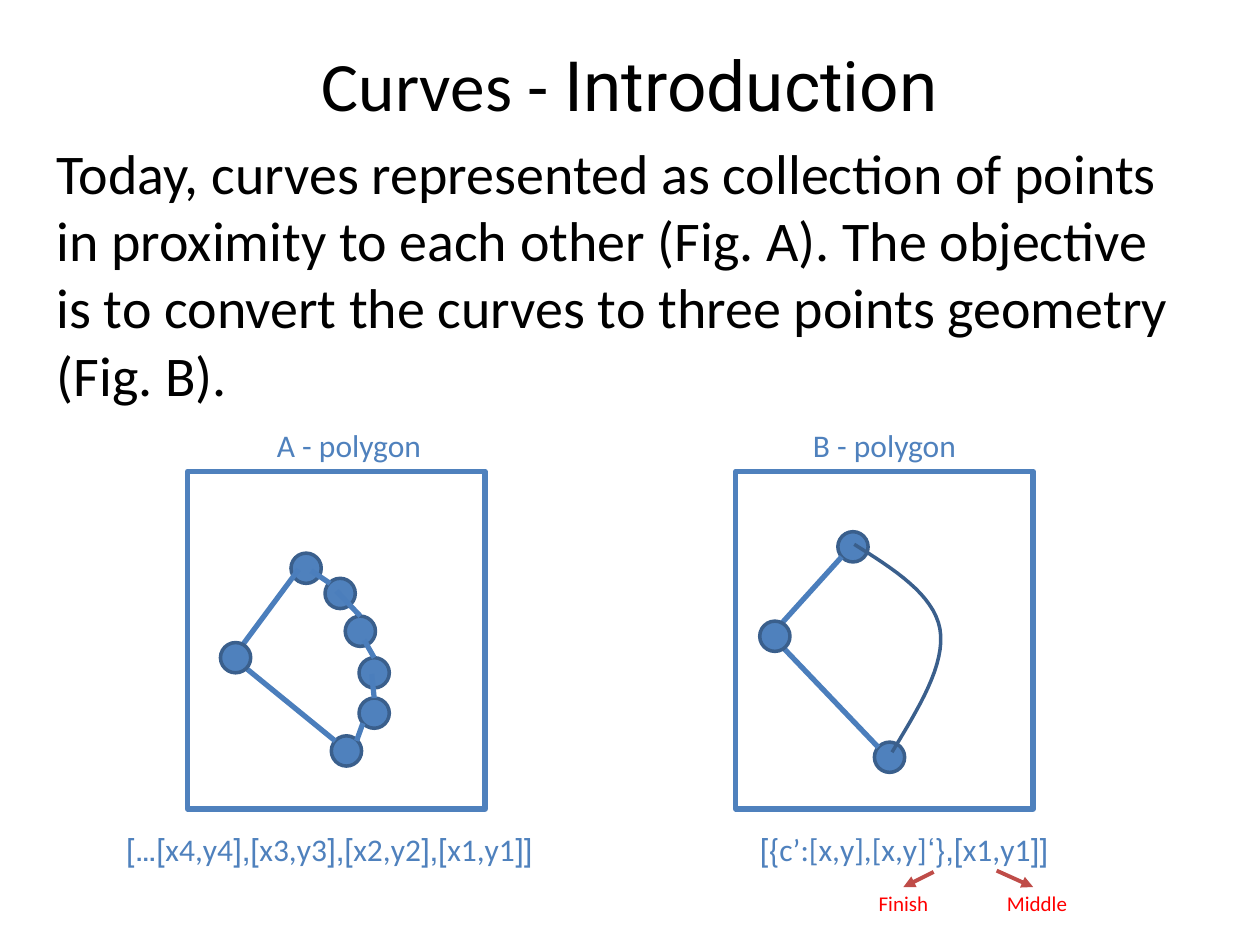
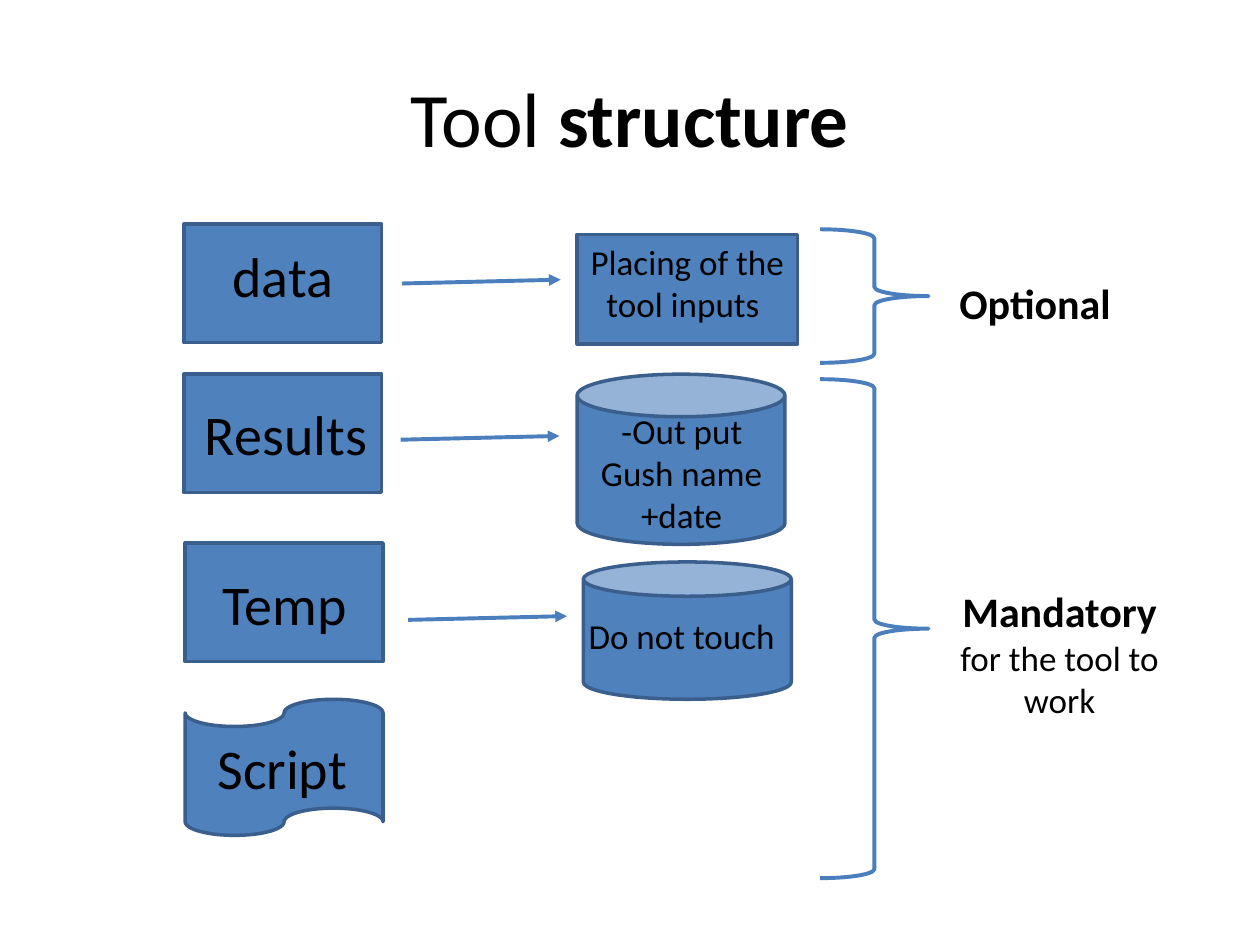
from pptx import Presentation
from pptx.dml.color import RGBColor
from pptx.enum.shapes import MSO_CONNECTOR, MSO_SHAPE
from pptx.enum.text import MSO_ANCHOR, MSO_AUTO_SIZE, PP_ALIGN
from pptx.oxml.ns import qn
from pptx.util import Inches, Pt
from lxml.etree import SubElement

# Colours and text formats
BLACK = RGBColor(0x00, 0x00, 0x00)
BLUE = RGBColor(0x4F, 0x81, 0xBD)
EDGE = RGBColor(0x3A, 0x5F, 0x8C)
LINK = RGBColor(0x4B, 0x7E, 0xBC)
BRICK = RGBColor(0xBF, 0x4C, 0x48)
RED = RGBColor(0xFF, 0x00, 0x00)
FONT = "Calibri"

HEAD = {"size": 44}
BODY = {"size": 32}
NOTE = {"size": 20}
BOLD = {"size": 24, "bold": True}
LABEL = {"size": 18, "color": BLUE}
TAG = {"size": 12, "color": RED}

# Slide 1: the two polygons
INTRO = ("Today, curves represented as collection of points in proximity to "
         "each other (Fig. A). The objective is to convert the curves to "
         "three points geometry (Fig. B).")
DOT = 0.24
DOTS = [(2.31, 4.39), (2.58, 4.59), (2.74, 4.89), (2.85, 5.22),
        (2.85, 5.54), (2.63, 5.84), (6.65, 4.22), (6.94, 5.89)]
APEXES = [(1.75, 5.1), (6.03, 4.93)]
FRAMES = [(1.49, 3.74, 2.36, 2.68), (5.84, 3.74, 2.36, 2.68)]
SIDES = [
    (2.47, 4.53, 2.62, 4.63), (2.67, 4.69, 2.86, 4.89),
    (2.89, 5.08, 2.97, 5.22), (2.95, 5.35, 2.97, 5.54),
    (2.83, 5.88, 2.88, 5.74), (2.37, 4.52, 1.85, 5.22),
    (2.66, 5.88, 1.85, 5.22), (6.97, 5.93, 6.12, 5.04),
    (6.68, 4.42, 6.12, 5.04),
]
ARC = [
    ((6.78, 4.32), (7.1, 4.52), (7.41, 4.72), (7.46, 4.99)),
    ((7.46, 4.99), (7.51, 5.27), (7.29, 5.62), (7.08, 5.97)),
]
LABELS = [
    ("A - polygon", (2.09, 3.33, 1.36, 0.4), LABEL),
    ("B - polygon", (6.34, 3.33, 1.36, 0.4), LABEL),
    ("[[x1,y1],[x2,y2],[x3,y3],[x4,y4]…]", (0.83, 6.54, 3.57, 0.4), LABEL),
    ("[[x1,y1],{‘c’:[x,y],[x,y]}]", (5.92, 6.54, 2.51, 0.4), LABEL),
    ("Finish", (6.87, 7.02, 0.6, 0.3), TAG),
    ("Middle", (7.89, 7.02, 0.68, 0.3), TAG),
]
HINTS = [(7.41, 6.92, 7.17, 7.04), (7.91, 6.91, 8.2, 7.04)]

# Slide 2: folders, their contents and their status
RECT, CAN = MSO_SHAPE.RECTANGLE, MSO_SHAPE.CAN
TAPE = MSO_SHAPE.FLOWCHART_PUNCHED_TAPE
FOLDERS = [
    ("data", RECT, (1.46, 1.78, 1.57, 0.94), (1.74, 1.87, 1.01, 0.64)),
    ("Results", RECT, (1.46, 2.97, 1.57, 0.94), (1.52, 3.12, 1.5, 0.64)),
    ("Temp", RECT, (1.47, 4.31, 1.57, 0.94), (1.66, 4.47, 1.2, 0.64)),
    ("Script", TAPE, (1.47, 5.55, 1.57, 1.08), (1.62, 5.77, 1.24, 0.64)),
]
STORES = [
    (["Placing of the", " tool inputs"], RECT,
     (4.58, 1.86, 1.75, 0.87), (4.58, 1.86, 1.75, 0.77)),
    (["Out put-", "Gush name +date"], CAN,
     (4.58, 2.97, 1.65, 1.35), (4.36, 3.2, 2.1, 1.11)),
    (["Do not touch"], CAN,
     (4.63, 4.46, 1.65, 1.09), (4.36, 4.83, 2.1, 0.44)),
]
ARROWS = [(3.19, 2.25), (3.18, 3.49), (3.24, 4.92)]
REACH, RISE = 1.26, 0.03
STATES = [
    ([("Optional", BOLD), (" ", NOTE)],
     (6.51, 1.82, 0.86, 1.06), (7.13, 2.15, 2.1, 0.5)),
    ([("Mandatory", BOLD), (" for the tool to work", NOTE)],
     (6.51, 3.01, 0.86, 3.96), (7.36, 4.6, 2.1, 1.18)),
]


def inch(box):
    return [Inches(v) for v in box]


def write(frame, paras, rtl=True):
    """Fill a frame; each paragraph is a list of (text, format) runs."""
    for i, runs in enumerate(paras):
        para = frame.paragraphs[0] if i == 0 else frame.add_paragraph()
        para.alignment = PP_ALIGN.CENTER if rtl else PP_ALIGN.LEFT
        if rtl:
            para._p.get_or_add_pPr().set("rtl", "1")
        for text, form in runs:
            run = para.add_run()
            run.text = text
            look = {"name": FONT, "bold": False, "color": BLACK, **form}
            run.font.color.rgb = look.pop("color")
            look["size"] = Pt(look["size"])
            for key, val in look.items():
                setattr(run.font, key, val)


def add_title(slide, box, runs):
    title = slide.shapes.title
    title.left, title.top, title.width, title.height = inch(box)
    frame = title.text_frame
    frame.auto_size = MSO_AUTO_SIZE.NONE
    frame.vertical_anchor = MSO_ANCHOR.MIDDLE
    write(frame, [runs])


def add_text(slide, box, paras, wrap=True, rtl=True):
    frame = slide.shapes.add_textbox(*inch(box)).text_frame
    frame.word_wrap = wrap
    frame.auto_size = MSO_AUTO_SIZE.SHAPE_TO_FIT_TEXT
    write(frame, paras, rtl)
    return frame


def paint(shape, fill, line, width):
    shape.shadow.inherit = False
    if fill is None:
        shape.fill.background()
    else:
        shape.fill.solid()
        shape.fill.fore_color.rgb = fill
    shape.line.color.rgb = line
    shape.line.width = Pt(width)


def add_form(slide, kind, box, fill=BLUE, line=EDGE, width=2):
    paint(slide.shapes.add_shape(kind, *inch(box)), fill, line, width)


def add_link(slide, ends, color=LINK, width=3, arrow=False):
    link = slide.shapes.add_connector(MSO_CONNECTOR.STRAIGHT, *inch(ends))
    link.line.color.rgb = color
    link.line.width = Pt(width)
    props = link._element.spPr
    SubElement(props, qn("a:effectLst"))
    if arrow:
        SubElement(props.find(qn("a:ln")), qn("a:tailEnd"), type="triangle")


def bend(knots, t):
    """Point at t on a cubic curve."""
    parts = ((1 - t) ** 3, 3 * t * (1 - t) ** 2, 3 * t * t * (1 - t), t ** 3)
    return tuple(Inches(sum(w * k[axis] for w, k in zip(parts, knots)))
                 for axis in (0, 1))


def add_arc(slide, pieces, steps=16):
    points = [bend(piece, n / steps) for piece in pieces
              for n in range(steps + 1)]
    path = slide.shapes.build_freeform(*points[0], scale=1.0)
    path.add_line_segments(points[1:], close=False)
    paint(path.convert_to_shape(), None, EDGE, 2)


def draw_curves(slide):
    add_title(slide, (0.43, 0.28, 9, 0.77),
              [("Curves - ", {"size": 39.6}),
               ("Introduction ", {"size": 39.6, "name": "Roboto"})])
    body = add_text(slide, (0.35, 1.05, 9.21, 2.36), [[(INTRO, BODY)]],
                    rtl=False)
    body.paragraphs[0].space_before = Pt(6.4)

    # Polygons
    for spot in DOTS:
        add_form(slide, MSO_SHAPE.OVAL, (*spot, DOT, DOT))
    for box in FRAMES:
        add_form(slide, RECT, box, None, BLUE, 3)
    for ends in SIDES:
        add_link(slide, ends)
    add_arc(slide, ARC)
    for spot in APEXES:
        add_form(slide, MSO_SHAPE.OVAL, (*spot, DOT, DOT))

    # Labels
    for text, box, form in LABELS:
        add_text(slide, box, [[(text, form)]], wrap=False)
    for ends in HINTS:
        add_link(slide, ends, BRICK, 2.25, arrow=True)


def draw_tool(slide):
    add_title(slide, (0.5, 0.3, 9, 1.25),
              [("Tool ", HEAD), ("structure", {**HEAD, "bold": True})])

    # Folders and contents
    for name, kind, box, area in FOLDERS:
        add_form(slide, kind, box)
        add_text(slide, area, [[(name, BODY)]], wrap=False)
    for lines, kind, box, area in STORES:
        add_form(slide, kind, box)
        add_text(slide, area, [[(text, NOTE)] for text in lines])
    for x, y in ARROWS:
        add_link(slide, (x, y, x + REACH, y - RISE), width=2.25, arrow=True)

    # Status braces
    for runs, box, area in STATES:
        add_form(slide, MSO_SHAPE.RIGHT_BRACE, box, None, LINK, 2.25)
        add_text(slide, area, [runs])


def main():
    deck = Presentation()
    deck.slide_width, deck.slide_height = Inches(10), Inches(7.5)
    for draw in (draw_curves, draw_tool):
        draw(deck.slides.add_slide(deck.slide_layouts[5]))
    deck.save("out.pptx")


if __name__ == "__main__":
    main()
